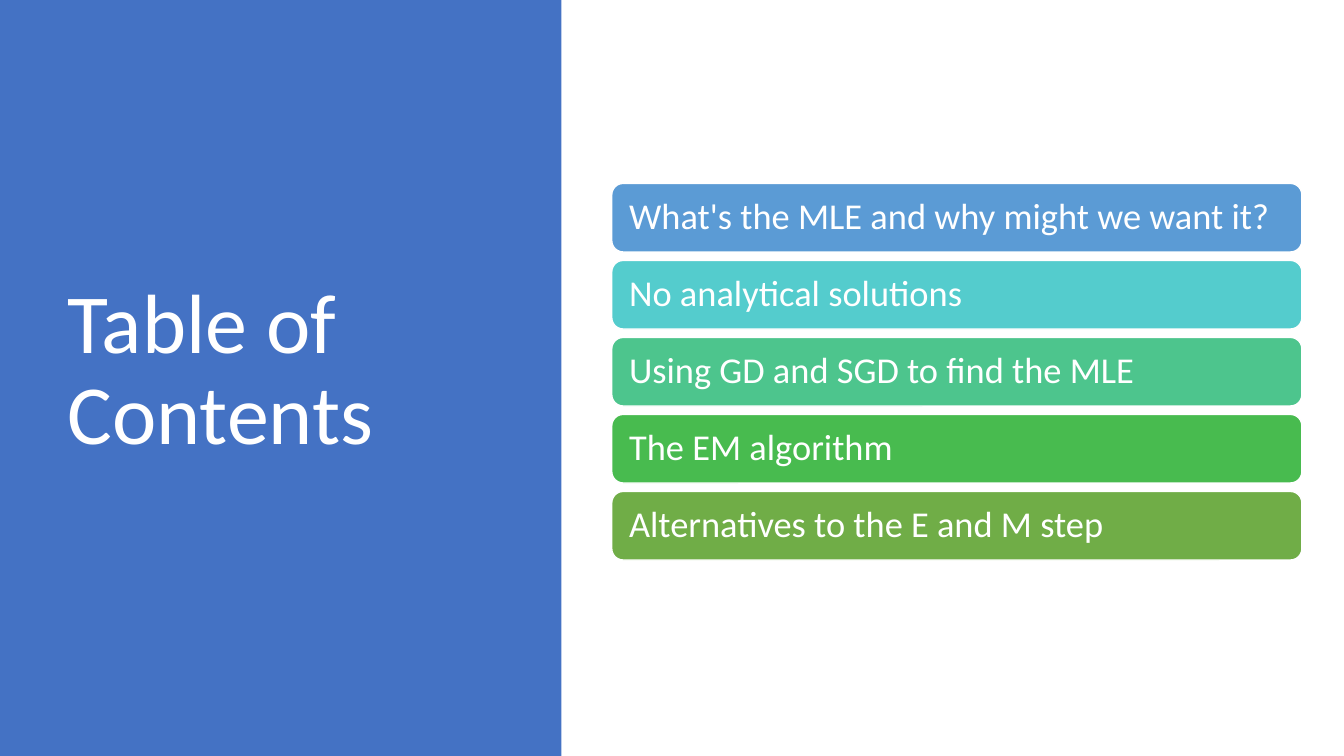
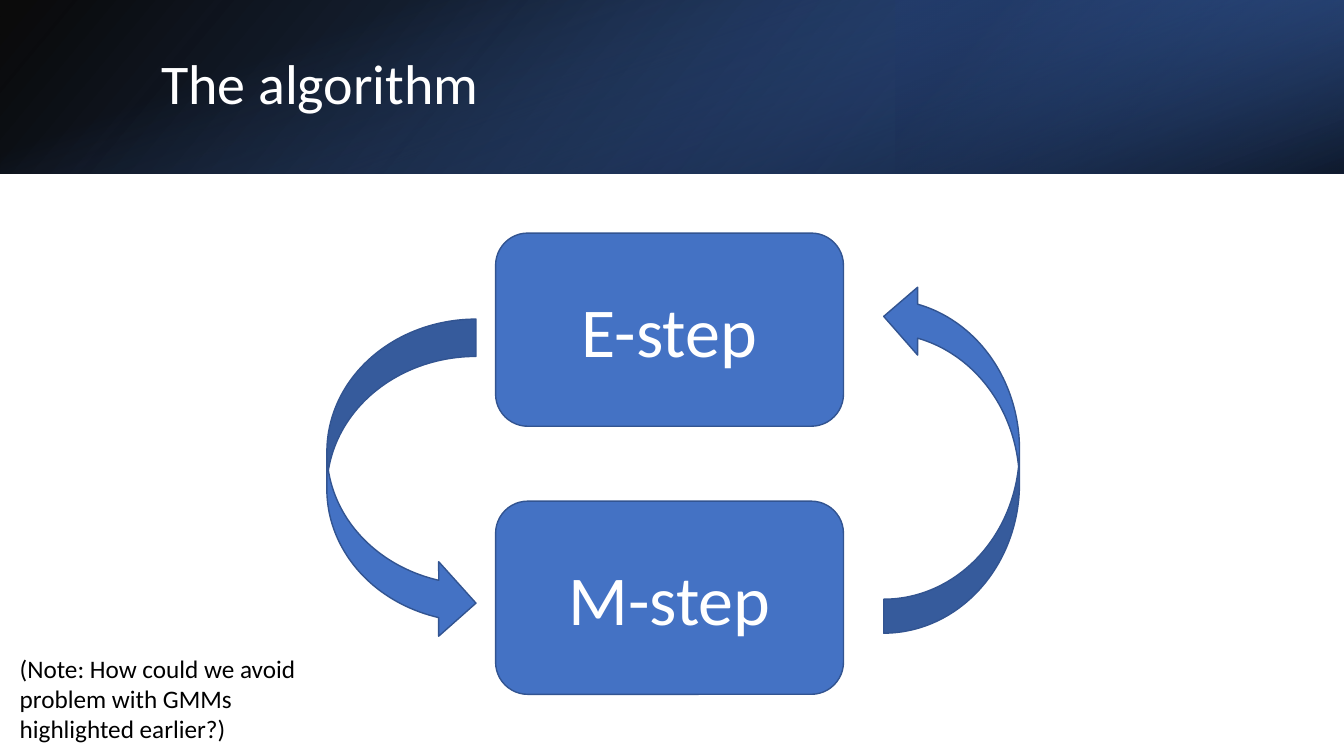
"""Build a contents slide and an algorithm slide that share one theme."""

from dataclasses import dataclass
from typing import NamedTuple, Optional

from pptx import Presentation
from pptx.dml.color import RGBColor
from pptx.enum.shapes import MSO_SHAPE as Kind
from pptx.enum.text import MSO_ANCHOR as Anchor, MSO_AUTO_SIZE as Fit, PP_ALIGN as Align
from pptx.oxml import parse_xml
from pptx.oxml.ns import nsdecls, qn
from pptx.shapes.autoshape import Shape
from pptx.slide import Slide
from pptx.text.text import TextFrame
from pptx.util import Emu, Pt

SCALE = 6350
WIDE, HIGH = 1920, 1080


@dataclass(frozen=True)
class Theme:
    font: str = "Calibri"
    white: str = "FFFFFF"
    black: str = "000000"
    blue: str = "4472C4"
    deep: str = "2F5597"
    navy: str = "203864"
    edge: str = "325491"
    cards: tuple[str, ...] = ("5B9BD5", "54CCCD", "4DC58D", "48BB4F", "70AD47")
    cover: int = 60
    title: int = 40
    step: int = 50
    card: int = 26
    note: int = 18


THEME = Theme()


class Box(NamedTuple):
    left: int
    top: int
    width: int
    height: int


class Stop(NamedTuple):
    place: int
    color: str
    alpha: int


class Layer(NamedTuple):
    box: Box
    angle: int
    stops: tuple[Stop, ...]
    turn: int = 0
    flip: bool = False


class Arrow(NamedTuple):
    kind: Kind
    box: Box
    turn: int = 0


HEAD = 248
LAYERS = (
    Layer(Box(0, 0, WIDE, HEAD), 140,
          (Stop(0, THEME.black, 96), Stop(100, THEME.deep, 100)), flip=True),
    Layer(Box(WIDE * 2 // 3, 0, WIDE // 3, HEAD), 320,
          (Stop(19, THEME.navy, 68), Stop(100, THEME.blue, 79)), 180, True),
    Layer(Box((WIDE - HEAD) // 2, (HEAD - WIDE) // 2, HEAD, WIDE), 340,
          (Stop(23, THEME.blue, 0), Stop(99, THEME.black, 74)), 90),
)
TOPICS = (
    "What's the MLE and why might we want it?",
    "No analytical solutions",
    "Using GD and SGD to find the MLE",
    "The EM algorithm",
    "Alternatives to the E and M step",
)
CARD, CARD_STEP, CARD_PAD = Box(874, 262, 986, 98), 110, 20
STEPS = ("E-step", "M-step")
STEP, STEP_GAP = Box(708, 333, 497, 276), 107
ARROWS = (
    Arrow(Kind.CURVED_RIGHT_ARROW, Box(467, 456, 213, 459)),
    Arrow(Kind.CURVED_UP_ARROW, Box(1109, 557, 501, 194), 270),
)
NOTE = "(Note: How could we avoid problem with GMMs highlighted earlier?)"


def px(count: int) -> Emu:
    return Emu(count * SCALE)


def place(box: Box) -> tuple[Emu, ...]:
    return tuple(px(side) for side in box)


def write(frame: TextFrame, text: str, size: int, color: str = THEME.white,
          align: Align = Align.LEFT, anchor: Anchor = Anchor.MIDDLE,
          space: float = 1.0) -> None:
    frame.word_wrap = True
    frame.vertical_anchor = anchor
    frame.text = text
    para = frame.paragraphs[0]
    para.alignment = align
    para.line_spacing = space
    para.font.name = THEME.font
    para.font.size = Pt(size)
    para.font.color.rgb = RGBColor.from_string(color)


def draw(slide: Slide, kind: Kind, box: Box, fill: Optional[str] = None,
         line: Optional[str] = None, turn: int = 0) -> Shape:
    shape = slide.shapes.add_shape(kind, *place(box))
    shape.shadow.inherit = False
    shape.rotation = turn
    if fill:
        shape.fill.solid()
        shape.fill.fore_color.rgb = RGBColor.from_string(fill)
    if line:
        shape.line.color.rgb = RGBColor.from_string(line)
        shape.line.width = Pt(1)
    else:
        shape.line.fill.background()
    return shape


def blend(slide: Slide, layer: Layer) -> None:
    shape = draw(slide, Kind.RECTANGLE, layer.box, turn=layer.turn)
    props = shape.element.spPr
    if layer.flip:
        props.find(qn("a:xfrm")).set("flipH", "1")
    stops = "".join(
        f'<a:gs pos="{stop.place * 1000}"><a:srgbClr val="{stop.color}">'
        f'<a:alpha val="{stop.alpha * 1000}"/></a:srgbClr></a:gs>'
        for stop in layer.stops
    )
    props.find(qn("a:prstGeom")).addnext(parse_xml(
        f'<a:gradFill {nsdecls("a")}><a:gsLst>{stops}</a:gsLst>'
        f'<a:lin ang="{layer.angle * 60000}" scaled="0"/></a:gradFill>'
    ))


def head(slide: Slide, text: str, box: Box, size: int) -> None:
    title = slide.shapes.title
    title.left, title.top, title.width, title.height = place(box)
    write(title.text_frame, text, size, space=0.9)
    title.text_frame.auto_size = Fit.NONE
    title.element.getparent().append(title.element)


def contents(slide: Slide) -> None:
    draw(slide, Kind.RECTANGLE, Box(0, 0, 802, HIGH), THEME.blue)
    head(slide, "Table of Contents", Box(82, 98, 599, 867), THEME.cover)
    for row, (topic, color) in enumerate(zip(TOPICS, THEME.cards)):
        box = CARD._replace(top=CARD.top + row * CARD_STEP)
        card = draw(slide, Kind.ROUNDED_RECTANGLE, box, color, THEME.white)
        frame = card.text_frame
        frame.margin_left = frame.margin_right = px(CARD_PAD)
        write(frame, topic, THEME.card, space=0.9)


def cycle(slide: Slide) -> None:
    for layer in LAYERS:
        blend(slide, layer)
    head(slide, "The algorithm", Box(216, 55, 1581, 138), THEME.title)
    for row, name in enumerate(STEPS):
        box = STEP._replace(top=STEP.top + row * (STEP.height + STEP_GAP))
        step = draw(slide, Kind.ROUNDED_RECTANGLE, box, THEME.blue, THEME.edge)
        write(step.text_frame, name, THEME.step, align=Align.CENTER)
    for arrow in ARROWS:
        draw(slide, arrow.kind, arrow.box, THEME.blue, THEME.edge, arrow.turn)
    note = slide.shapes.add_textbox(*place(Box(14, 926, 433, 145)))
    write(note.text_frame, NOTE, THEME.note, THEME.black, anchor=Anchor.TOP)
    note.text_frame.auto_size = Fit.SHAPE_TO_FIT_TEXT


def main() -> None:
    deck = Presentation()
    deck.slide_width, deck.slide_height = px(WIDE), px(HIGH)
    for build in (contents, cycle):
        build(deck.slides.add_slide(deck.slide_layouts[5]))
    deck.save("out.pptx")


if __name__ == "__main__":
    main()
